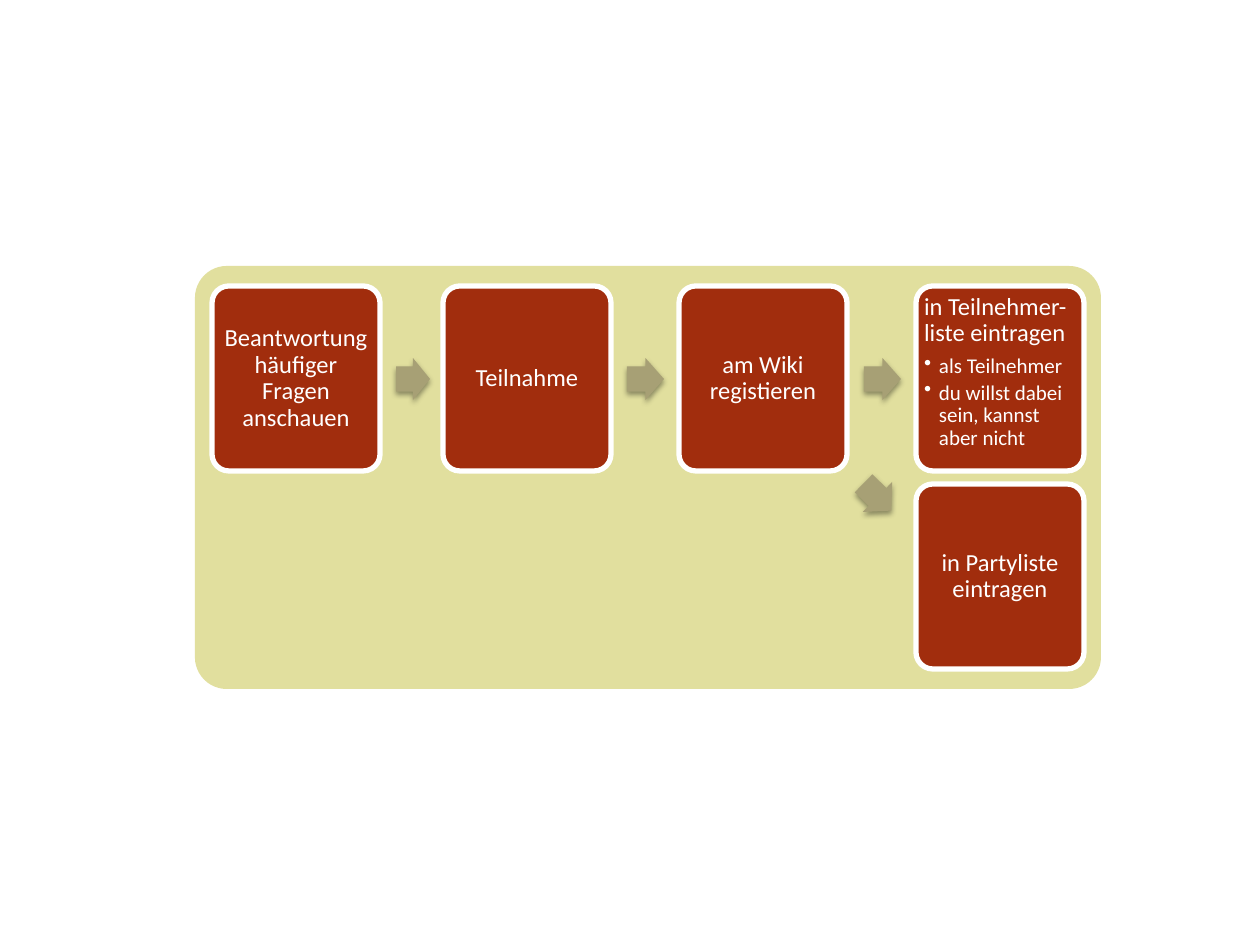
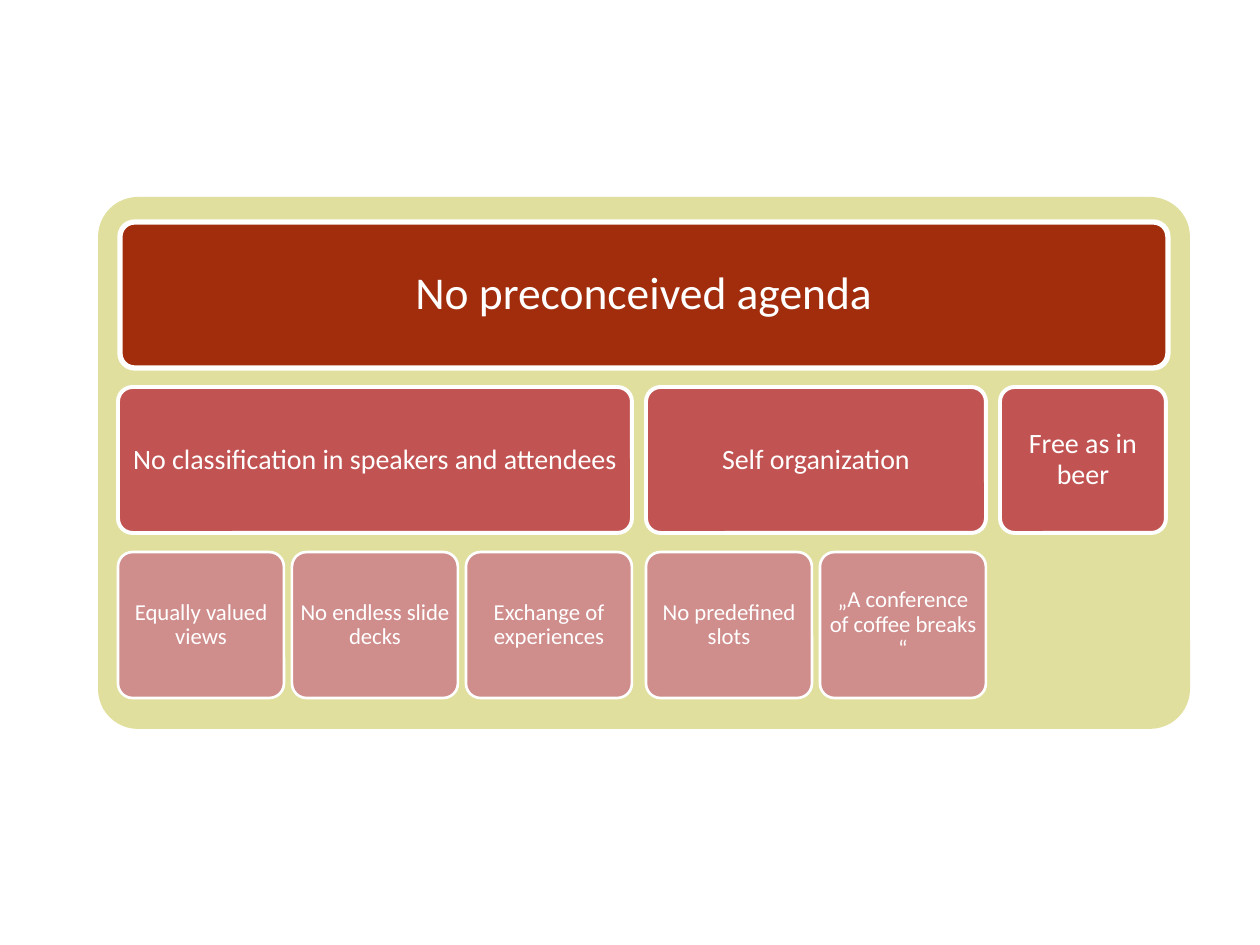
from lxml import etree
from pptx import Presentation
from pptx import util as u
from pptx.dml.color import RGBColor
from pptx.enum import shapes, text
from pptx.oxml import ns

PX = u.Inches(1) / 126
COLORS = {
    "panel": "E1DF9E",
    "main": "A12D0D",
    "group": "C15452",
    "leaf": "CF8D8C",
    "arrow": "A7A075",
    "white": "FFFFFF",
    "shadow": "000000",
}
CORNER = 0.1


def px(value):
    return u.Emu(round(value * PX))


def color(name):
    return RGBColor.from_string(COLORS[name])


def add(parent, tag, **attributes):
    return etree.SubElement(parent, ns.qn(tag), attributes)


class Deck:
    font = "Calibri"

    def __init__(self):
        self.prs = Presentation()
        self.prs.slide_width, self.prs.slide_height = px(1260), px(945)

    def slide(self):
        self.s = self.prs.slides.add_slide(self.prs.slide_layouts[6])

    def shape(self, kind, x, y, w, h, fill, *adjustments):
        sp = self.s.shapes.add_shape(kind, px(x), px(y), px(w), px(h))
        sp.shadow.inherit = False
        sp.fill.solid()
        sp.fill.fore_color.rgb = color(fill)
        sp.line.fill.background()
        for i, value in enumerate(adjustments):
            sp.adjustments[i] = value
        return sp

    def panel(self, x, y, w, h):
        self.shape(shapes.MSO_SHAPE.ROUNDED_RECTANGLE, x, y, w, h, "panel", 0.075)

    def box(self, x, y, w, h, label, size, fill="main", line=3.0, pad=8, bullets=()):
        sp = self.shape(shapes.MSO_SHAPE.ROUNDED_RECTANGLE, x, y, w, h, fill, CORNER)
        sp.line.color.rgb = color("white")
        sp.line.width = u.Pt(line)
        tf = sp.text_frame
        tf.word_wrap = True
        inset = px(pad - 0.29 * CORNER * min(w, h))
        tf.margin_left = tf.margin_right = tf.margin_top = tf.margin_bottom = inset
        tf.vertical_anchor = text.MSO_ANCHOR.TOP if bullets else text.MSO_ANCHOR.MIDDLE
        align = text.PP_ALIGN.LEFT if bullets else text.PP_ALIGN.CENTER
        self.paragraph(tf.paragraphs[0], label, size, align, 0.35)
        for item in bullets:
            p = tf.add_paragraph()
            pPr = p._p.get_or_add_pPr()
            pPr.set("marL", str(px(15)))
            pPr.set("indent", str(px(-15)))
            add(pPr, "a:buChar", char="•")
            self.paragraph(p, item, size - 2, align, 0.15)

    def paragraph(self, p, label, size, align, after):
        p.text = label
        p.alignment = align
        p.line_spacing = 0.9
        p.space_after = u.Pt(round(size * after))
        p.font.name = self.font
        p.font.size = u.Pt(size)
        p.font.color.rgb = color("white")

    def arrow(self, x, y, w, rotation=0):
        sp = self.shape(shapes.MSO_SHAPE.RIGHT_ARROW, x, y, w, 42, "arrow", 0.6, 0.5)
        sp.rotation = rotation
        effects = sp._element.spPr.find(ns.qn("a:effectLst"))
        shadow = add(effects, "a:outerShdw", blurRad=str(u.Pt(3.1)), dist=str(u.Pt(1.6)),
                     dir="5400000", rotWithShape="0")
        tone = add(shadow, "a:srgbClr", val=COLORS["shadow"])
        add(tone, "a:alpha", val="38000")


def registration(deck):
    deck.slide()
    deck.panel(195, 266, 906, 423)
    top, w, h = 286, 168, 185
    steps = [
        (212, "Beantwortung häufiger Fragen anschauen"),
        (443, "Teilnahme"),
        (679, "am Wiki registieren"),
    ]
    for x, label in steps:
        deck.box(x, top, w, h, label, 14)
    for x, width in ((396, 34), (627, 37), (864, 37)):
        deck.arrow(x, 358, width)
    deck.box(916, top, w, h, "in Teilnehmer-liste eintragen", 14,
             bullets=("als\u00a0Teilnehmer", "du willst dabei sein, kannst aber nicht"))
    deck.arrow(858, 476, 39, 44.5)
    deck.box(916, 484, w, h, "in Partyliste eintragen", 14)


def principles(deck):
    deck.slide()
    deck.panel(98, 197, 1092, 532)
    h, leaf, step, gap = 146, 166, 174, 14
    deck.box(120, 222, 1048, h, "No preconceived agenda", 26, pad=14)
    groups = [
        ("No classification in speakers and attendees",
         ["Equally valued views", "No endless slide decks", "Exchange of experiences"]),
        ("Self organization",
         ["No predefined slots", "„A conference of coffee breaks “"]),
        ("Free as in beer", []),
    ]
    x = 118
    for label, leaves in groups:
        w = leaf + step * max(len(leaves) - 1, 0)
        deck.box(x, 387, w, h, label, 16, "group", 2.25, 9)
        for i, item in enumerate(leaves):
            deck.box(x + i * step, 552, leaf, h, item, 13, "leaf", 1.5, 6)
        x += w + gap


deck = Deck()
registration(deck)
principles(deck)
deck.prs.save("out.pptx")
